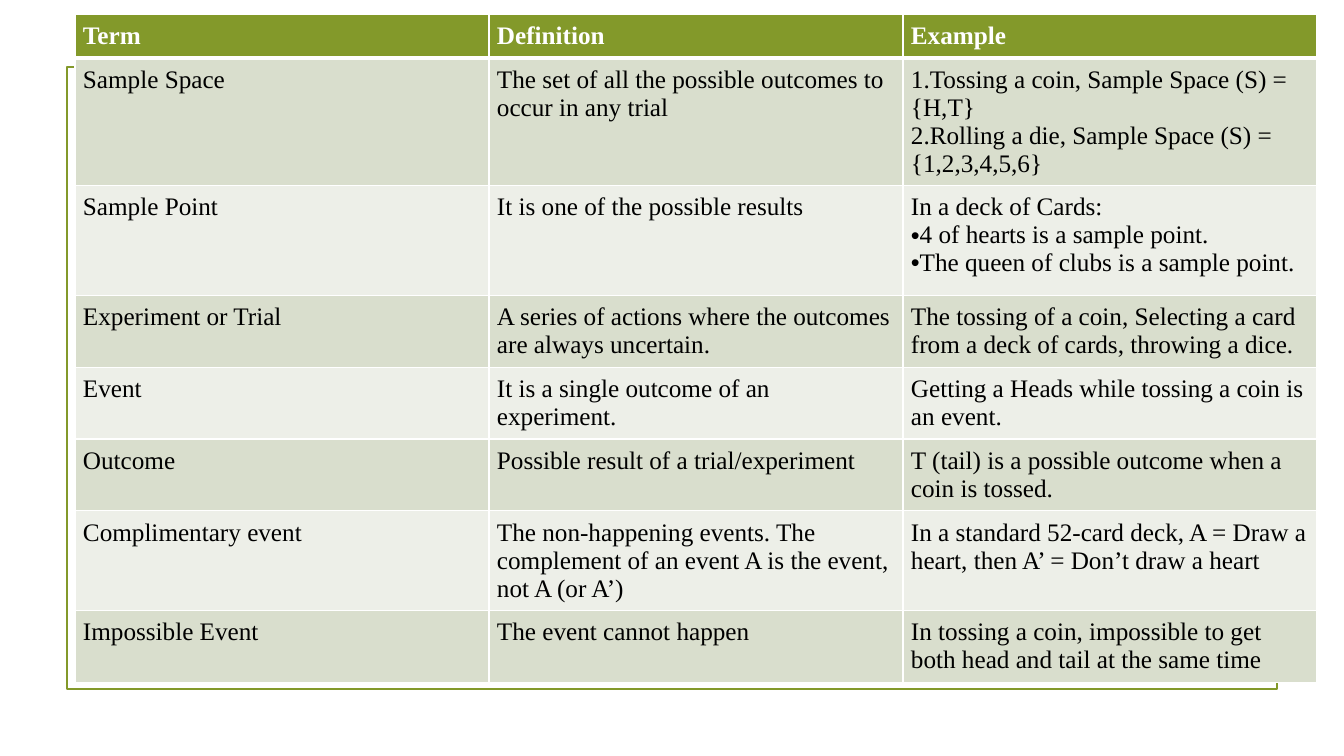
from lxml.etree import SubElement
from pptx import Presentation
from pptx.dml.color import RGBColor
from pptx.enum.shapes import MSO_SHAPE as Shape
from pptx.enum.text import MSO_ANCHOR as Anchor
from pptx.oxml import parse_xml
from pptx.oxml.ns import nsdecls, qn
from pptx.util import Emu, Pt

EMU_PER_PX = 914400 / 100.8
FONT = "Times New Roman"
COLORS = {
    "olive": "83992A",
    "band_dark": "D9DECD",
    "band_light": "EDEFE8",
    "white": "FFFFFF",
    "black": "000000",
}
NUMBER, BULLET = "number", "bullet"
ROW_HEIGHTS = [37, 110, 110, 61, 61, 61, 86, 61]
HEADINGS = ["Term", "Definition", "Example"]
TERMS = [
    ("Sample Space",
     "The set of all the possible outcomes to occur in any trial",
     [("Tossing a coin, Sample Space (S) = {H,T}", NUMBER),
      ("Rolling a die, Sample Space (S) = {1,2,3,4,5,6}", NUMBER)]),
    ("Sample Point",
     "It is one of the possible results",
     [("In a deck of Cards:", None),
      ("4 of hearts is a sample point.", BULLET),
      ("The queen of clubs is a sample point.", BULLET)]),
    ("Experiment or Trial",
     "A series of actions where the outcomes are always uncertain.",
     "The tossing of a coin, Selecting a card from a deck of cards, throwing a dice."),
    ("Event",
     "It is a single outcome of an experiment.",
     "Getting a Heads while tossing a coin is an event."),
    ("Outcome",
     "Possible result of a trial/experiment",
     "T (tail) is a possible outcome when a coin is tossed."),
    ("Complimentary event",
     "The non-happening events. The complement of an event A is the event, not A (or A’)",
     "In a standard 52-card deck, A = Draw a heart, then A’ = Don’t draw a heart"),
    ("Impossible Event",
     "The event cannot happen",
     "In tossing a coin, impossible to get both head and tail at the same time"),
]


def px(length):
    return Emu(round(length * EMU_PER_PX))


def color(name):
    return RGBColor.from_string(COLORS[name])


def add_frame(slide, left, top, width, height):
    frame = slide.shapes.add_shape(
        Shape.RECTANGLE, px(left), px(top), px(width), px(height))
    frame.shadow.inherit = False
    frame.fill.background()
    frame.line.color.rgb = color("olive")
    frame.line.width = Pt(1.25)


def mark_list_item(paragraph, kind):
    properties = paragraph._p.get_or_add_pPr()
    properties.set("marL", "0")
    properties.set("indent", "0")
    if kind == NUMBER:
        SubElement(properties, qn("a:buFont"), typeface="+mj-lt")
        SubElement(properties, qn("a:buAutoNum"), type="arabicPeriod")
    else:
        SubElement(properties, qn("a:buFont"), typeface="Arial")
        SubElement(properties, qn("a:buChar"), char="•")


def set_borders(cell, bottom_width):
    properties = cell._tc.get_or_add_tcPr()
    widths = {"lnL": 1, "lnR": 1, "lnT": 1, "lnB": bottom_width}
    for index, (side, width) in enumerate(widths.items()):
        properties.insert(index, parse_xml(
            f'<a:{side} {nsdecls("a")} w="{Pt(width)}"><a:solidFill>'
            f'<a:srgbClr val="{COLORS["white"]}"/></a:solidFill></a:{side}>'))


def fill_cell(cell, content, fill, text_color, is_heading):
    items = [(content, None)] if isinstance(content, str) else content
    cell.text_frame.text = "\n".join(text for text, kind in items)
    for paragraph, (text, kind) in zip(cell.text_frame.paragraphs, items):
        if kind:
            mark_list_item(paragraph, kind)
        for run in paragraph.runs:
            run.font.name = FONT
            run.font.size = Pt(18)
            run.font.bold = is_heading
            run.font.color.rgb = color(text_color)
    cell.margin_left = cell.margin_right = px(8)
    cell.margin_top = cell.margin_bottom = px(8)
    cell.vertical_anchor = Anchor.BOTTOM if is_heading else Anchor.TOP
    cell.fill.solid()
    cell.fill.fore_color.rgb = color(fill)
    set_borders(cell, 3 if is_heading else 1)


def add_terms_table(slide, left, top, column_width):
    rows = [HEADINGS] + TERMS
    table = slide.shapes.add_table(
        len(rows), len(HEADINGS), px(left), px(top),
        px(column_width * len(HEADINGS)), px(sum(ROW_HEIGHTS))).table
    for column in table.columns:
        column.width = px(column_width)
    for row_index, (contents, height) in enumerate(zip(rows, ROW_HEIGHTS)):
        table.rows[row_index].height = px(height)
        is_heading = row_index == 0
        band = "band_dark" if row_index % 2 else "band_light"
        fill, text_color = ("olive", "white") if is_heading else (band, "black")
        for column_index, content in enumerate(contents):
            fill_cell(table.cell(row_index, column_index), content,
                      fill, text_color, is_heading)


def main():
    presentation = Presentation()
    presentation.slide_width = px(1344)
    presentation.slide_height = px(756)
    slide = presentation.slides.add_slide(presentation.slide_layouts[6])
    add_frame(slide, 67, 67, 1210, 622)
    add_terms_table(slide, 75, 14, 414)
    presentation.save("out.pptx")


if __name__ == "__main__":
    main()
